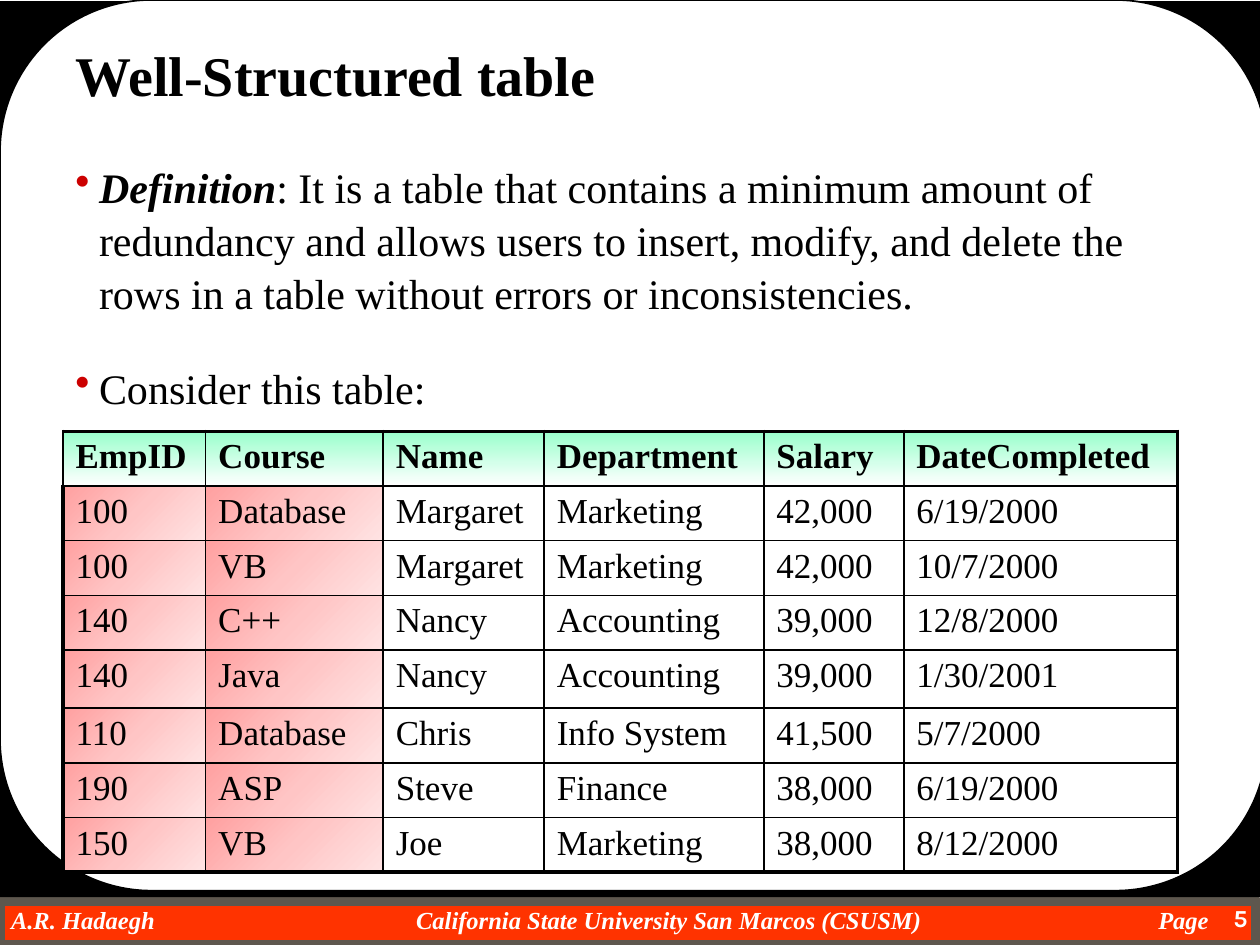
from lxml import etree
from pptx import Presentation
from pptx.dml.color import RGBColor
from pptx.enum.shapes import MSO_SHAPE
from pptx.enum.text import PP_ALIGN
from pptx.oxml.ns import qn
from pptx.util import Pt

LEFT, RIGHT = PP_ALIGN.LEFT, PP_ALIGN.RIGHT
RECTANGLE, ROUNDED = MSO_SHAPE.RECTANGLE, MSO_SHAPE.ROUNDED_RECTANGLE
BLACK = RGBColor(0x00, 0x00, 0x00)
WHITE = RGBColor(0xFF, 0xFF, 0xFF)
ORANGE = RGBColor(0xFF, 0x33, 0x00)
TAUPE = RGBColor(0x5E, 0x57, 0x4E)
RED = RGBColor(0xCC, 0x00, 0x00)
MINT = RGBColor(0x99, 0xFF, 0xCC)
ROSE = RGBColor(0xFF, 0xA0, 0xA0)
LIGHT_ROSE = RGBColor(0xFF, 0xC5, 0xC5)
PALE_ROSE = RGBColor(0xFF, 0xE3, 0xE3)
SERIF, SANS = "Times New Roman", "Karla"

TITLE = "Well-Structured table"
TERM = "Definition"
MEANING = (": It is a table that contains a minimum amount of redundancy and allows users "
           "to insert, modify, and delete the rows in a table without errors or inconsistencies.")
LEAD_IN = "Consider this table:"
FOOTER = "A.R. Hadaegh\tCalifornia State University San Marcos (CSUSM)\tPage"
FOOTER_TABS = [(376, "ctr"), (689, "r")]
PAGE_NUMBER = "5"

RECORDS = [
    ("EmpID", "Course", "Name", "Department", "Salary", "DateCompleted"),
    ("100", "Database", "Margaret", "Marketing", "42,000", "6/19/2000"),
    ("100", "VB", "Margaret", "Marketing", "42,000", "10/7/2000"),
    ("140", "C++", "Nancy", "Accounting", "39,000", "12/8/2000"),
    ("140", "Java", "Nancy", "Accounting", "39,000", "1/30/2001"),
    ("110", "Database", "Chris", "Info System", "41,500", "5/7/2000"),
    ("190", "ASP", "Steve", "Finance", "38,000", "6/19/2000"),
    ("150", "VB", "Joe", "Marketing", "38,000", "8/12/2000"),
]
COLUMN_WIDTHS = [81.5, 101.5, 92, 125.5, 80, 156.5]
ROW_HEIGHTS = [31, 31.2, 31.2, 31.2, 33.2, 31.2, 31.2, 31.2]
KEY_COLUMNS = 2
HEADER_STOPS = [(0, MINT), (100, WHITE)]
KEY_STOPS = [(0, ROSE), (50, LIGHT_ROSE), (100, PALE_ROSE)]
THIN, THICK = 1, 2.25


def add_child(parent, tag, **attributes):
    values = {name: str(value) for name, value in attributes.items()}
    return etree.SubElement(parent, qn(tag), values)


def add_panel(page, kind, bounds, fill, line=None, weight=0):
    panel = page.shapes.add_shape(kind, *map(Pt, bounds))
    panel.shadow.inherit = False
    panel.fill.solid()
    panel.fill.fore_color.rgb = fill
    if line is None:
        panel.line.fill.background()
    else:
        panel.line.color.rgb = line
        panel.line.width = Pt(weight)
    return panel


def add_box(page, bounds, inset=None):
    frame = page.shapes.add_textbox(*map(Pt, bounds)).text_frame
    frame.word_wrap = True
    if inset is not None:
        frame.margin_left = frame.margin_right = Pt(inset)
        frame.margin_top = frame.margin_bottom = Pt(inset)
    return frame


def write(para, text, size=24, font=SERIF, color=BLACK, bold=False, italic=False, align=LEFT):
    span = para.add_run()
    span.text = text
    span.font.name, span.font.size = font, Pt(size)
    span.font.bold, span.font.italic = bold, italic
    span.font.color.rgb = color
    para.alignment = align


def add_bullet(para, indent=13.5):
    properties = para._p.get_or_add_pPr()
    properties.set("marL", str(Pt(indent)))
    properties.set("indent", str(-Pt(indent)))
    add_child(add_child(properties, "a:buClr"), "a:srgbClr", val=RED)
    add_child(properties, "a:buChar", char="•")


def add_tabs(para, tabs):
    tab_list = add_child(para._p.get_or_add_pPr(), "a:tabLst")
    for position, align in tabs:
        add_child(tab_list, "a:tab", pos=Pt(position), algn=align)


def add_borders(cell, weights):
    properties = cell._tc.get_or_add_tcPr()
    for side, weight in zip("LRTB", weights):
        line = add_child(properties, f"a:ln{side}", w=Pt(weight))
        add_child(add_child(line, "a:solidFill"), "a:srgbClr", val=BLACK)


def add_gradient(cell, stops, radial):
    gradient = add_child(cell._tc.get_or_add_tcPr(), "a:gradFill", rotWithShape=0)
    stop_list = add_child(gradient, "a:gsLst")
    for position, color in stops:
        add_child(add_child(stop_list, "a:gs", pos=position * 1000), "a:srgbClr", val=color)
    if radial:
        add_child(add_child(gradient, "a:path", path="circle"),
                  "a:fillToRect", r=100000, b=100000)
    else:
        add_child(gradient, "a:lin", ang=5400000, scaled=0)


def add_frame(page):
    add_panel(page, RECTANGLE, (0, 514.8, 717.8, 25.2), ORANGE, TAUPE, 6)
    para = add_box(page, (0, 517, 697, 16.6), inset=0).paragraphs[0]
    para._p.get_or_add_pPr().set("marL", str(Pt(6.3)))
    add_tabs(para, FOOTER_TABS)
    write(para, FOOTER, size=14, color=WHITE, bold=True, italic=True)
    add_panel(page, RECTANGLE, (0, 0.7, 720, 512), BLACK)
    sheet = add_panel(page, ROUNDED, (0, 0, 724, 509), WHITE, BLACK, 1)
    sheet.adjustments[0] = 0.17
    number = add_box(page, (666, 512.6, 54, 27.4)).paragraphs[0]
    write(number, PAGE_NUMBER, size=14, font=SANS, color=WHITE, bold=True, align=RIGHT)


def add_body(page):
    frame = add_box(page, (36, 18, 661, 213))
    heading, definition, lead_in = frame.paragraphs[0], frame.add_paragraph(), frame.add_paragraph()
    for para in (heading, definition, lead_in):
        para.line_spacing = 1.05
    definition.space_before = Pt(29)
    lead_in.space_before = Pt(24)
    for para in (definition, lead_in):
        add_bullet(para)
    write(heading, TITLE, size=32, bold=True)
    write(definition, TERM, bold=True, italic=True)
    write(definition, MEANING)
    write(lead_in, LEAD_IN)


def add_records(page):
    last_row, last_column = len(RECORDS) - 1, len(COLUMN_WIDTHS) - 1
    table = page.shapes.add_table(
        len(RECORDS), len(COLUMN_WIDTHS), Pt(36), Pt(246.5),
        Pt(sum(COLUMN_WIDTHS)), Pt(sum(ROW_HEIGHTS))).table
    table.first_row = table.horz_banding = False
    for column, width in zip(table.columns, COLUMN_WIDTHS):
        column.width = Pt(width)
    for row, height in zip(table.rows, ROW_HEIGHTS):
        row.height = Pt(height)
    for r, record in enumerate(RECORDS):
        for c, value in enumerate(record):
            cell = table.cell(r, c)
            write(cell.text_frame.paragraphs[0], value, size=20, bold=r == 0)
            edges = (c == 0 and r > 0, c == last_column, r == 0, r == last_row)
            add_borders(cell, [THICK if edge else THIN for edge in edges])
            if r == 0:
                add_gradient(cell, HEADER_STOPS, radial=False)
            elif c < KEY_COLUMNS:
                add_gradient(cell, KEY_STOPS, radial=True)
            else:
                cell.fill.background()


def main():
    deck = Presentation()
    deck.slide_width, deck.slide_height = Pt(720), Pt(540)
    page = deck.slides.add_slide(deck.slide_layouts[6])
    add_frame(page)
    add_body(page)
    add_records(page)
    deck.save("out.pptx")


if __name__ == "__main__":
    main()
